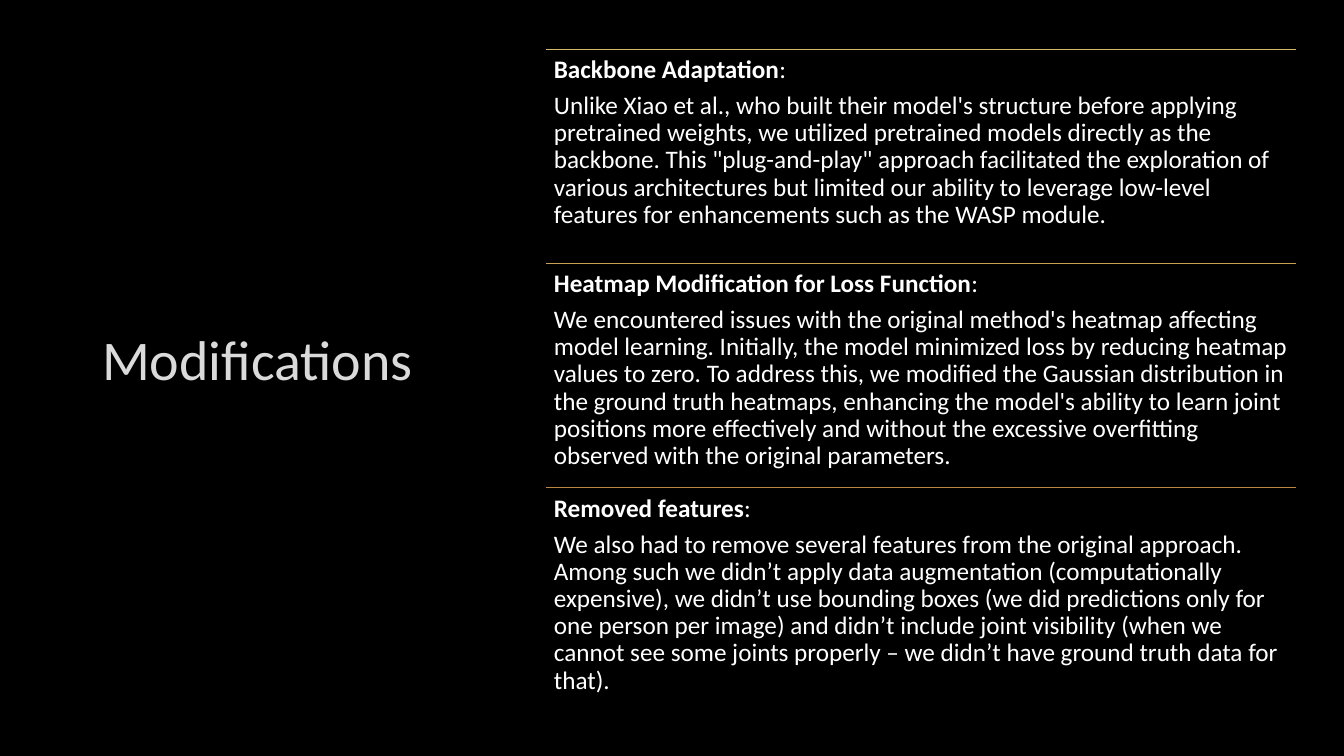
"""Build the Modifications slide: a title beside three ruled text sections."""
from dataclasses import dataclass
from typing import Any

from lxml.etree import SubElement
from pptx import Presentation
from pptx.dml.color import RGBColor
from pptx.enum.shapes import MSO_CONNECTOR as Connector
from pptx.enum.text import MSO_ANCHOR as Anchor, PP_ALIGN as Align
from pptx.oxml import parse_xml
from pptx.oxml.ns import nsdecls, qn
from pptx.util import Cm, Pt

SECTION_LEFT, SECTION_WIDTH, SECTIONS_TOP = 13.77, 18.9, 1.24
SECTION_FRAME = {
    "word_wrap": True,
    "margin_left": Cm(0.19),
    "margin_right": Cm(0.19),
    "margin_top": Cm(0.19),
    "margin_bottom": Cm(0.19),
}
SECTION_PARAGRAPH = {"line_spacing": 0.9, "space_after": Pt(6.3)}
SECTION_FONT = {"name": "Calibri", "size": Pt(18)}
TITLE_FRAME = {"word_wrap": True, "vertical_anchor": Anchor.MIDDLE}
TITLE_FONT = {"name": "Calibri", "size": Pt(40)}


@dataclass(frozen=True)
class Section:
    heading: str
    body: str
    rule_color: str
    height: float


SECTIONS = [
    Section(
        "Backbone Adaptation",
        "Unlike Xiao et al., who built their model's structure before applying "
        "pretrained weights, we utilized pretrained models directly as the backbone. "
        'This "plug-and-play" approach facilitated the exploration of various '
        "architectures but limited our ability to leverage low-level features for "
        "enhancements such as the WASP module.",
        "D3BA68",
        5.39,
    ),
    Section(
        "Heatmap Modification for Loss Function",
        "We encountered issues with the original method's heatmap affecting model "
        "learning. Initially, the model minimized loss by reducing heatmap values to "
        "zero. To address this, we modified the Gaussian distribution in the ground "
        "truth heatmaps, enhancing the model's ability to learn joint positions more "
        "effectively and without the excessive overfitting observed with the original "
        "parameters.",
        "C8A153",
        5.66,
    ),
    Section(
        "Removed features",
        "We also had to remove several features from the original approach. Among such "
        "we didn’t apply data augmentation (computationally expensive), we didn’t use "
        "bounding boxes (we did predictions only for one person per image) and didn’t "
        "include joint visibility (when we cannot see some joints properly – we didn’t "
        "have ground truth data for that).",
        "BB8640",
        5.39,
    ),
]


def rgb(color: str) -> RGBColor:
    """Turn a hex string into a colour."""
    return RGBColor.from_string(color)


def apply_format(target: Any, values: dict[str, Any]) -> None:
    """Set each named attribute on the target."""
    for name, value in values.items():
        setattr(target, name, value)


def add_run(paragraph: Any, text: str, font: dict[str, Any], color: str) -> Any:
    """Append a formatted run to the paragraph."""
    run = paragraph.add_run()
    run.text = text
    apply_format(run.font, font)
    run.font.color.rgb = rgb(color)
    return run


def add_title(slide: Any, text: str) -> None:
    """Add the centred, faintly outlined title."""
    frame = slide.shapes.add_textbox(Cm(1.75), Cm(1.7), Cm(9.47), Cm(14.66)).text_frame
    apply_format(frame, TITLE_FRAME)
    paragraph = frame.paragraphs[0]
    paragraph.alignment = Align.CENTER
    run = add_run(paragraph, text, TITLE_FONT, "DADADA")
    outline = parse_xml(
        f'<a:ln {nsdecls("a")} w="{Pt(0.75)}"><a:solidFill><a:srgbClr val="404040">'
        '<a:alpha val="10000"/></a:srgbClr></a:solidFill></a:ln>'
    )
    run.font.fill
    run._r.get_or_add_rPr().insert(0, outline)


def add_rule(slide: Any, top: float, color: str) -> None:
    """Draw the thin rule above a section."""
    rule = slide.shapes.add_connector(
        Connector.STRAIGHT,
        Cm(SECTION_LEFT), Cm(top), Cm(SECTION_LEFT + SECTION_WIDTH), Cm(top),
    )
    rule.line.color.rgb = rgb(color)
    rule.line.width = Pt(0.75)
    SubElement(rule._element.spPr, qn("a:effectLst"))


def add_section(slide: Any, section: Section, top: float) -> None:
    """Add a ruled section with its heading and body."""
    add_rule(slide, top, section.rule_color)
    frame = slide.shapes.add_textbox(
        Cm(SECTION_LEFT), Cm(top), Cm(SECTION_WIDTH), Cm(section.height)
    ).text_frame
    apply_format(frame, SECTION_FRAME)
    heading, body = frame.paragraphs[0], frame.add_paragraph()
    for paragraph in (heading, body):
        apply_format(paragraph, SECTION_PARAGRAPH)
    add_run(heading, section.heading, SECTION_FONT | {"bold": True}, "FFFFFF")
    add_run(heading, ":", SECTION_FONT, "FFFFFF")
    add_run(body, section.body, SECTION_FONT, "FFFFFF")


def main() -> None:
    """Build and save the slide."""
    deck = Presentation()
    apply_format(deck, {"slide_width": Cm(33.87), "slide_height": Cm(19.05)})
    slide = deck.slides.add_slide(deck.slide_layouts[6])
    slide.background.fill.solid()
    slide.background.fill.fore_color.rgb = rgb("000000")
    add_title(slide, "Modifications")
    top = SECTIONS_TOP
    for section in SECTIONS:
        add_section(slide, section, top)
        top += section.height
    deck.save("out.pptx")


if __name__ == "__main__":
    main()
